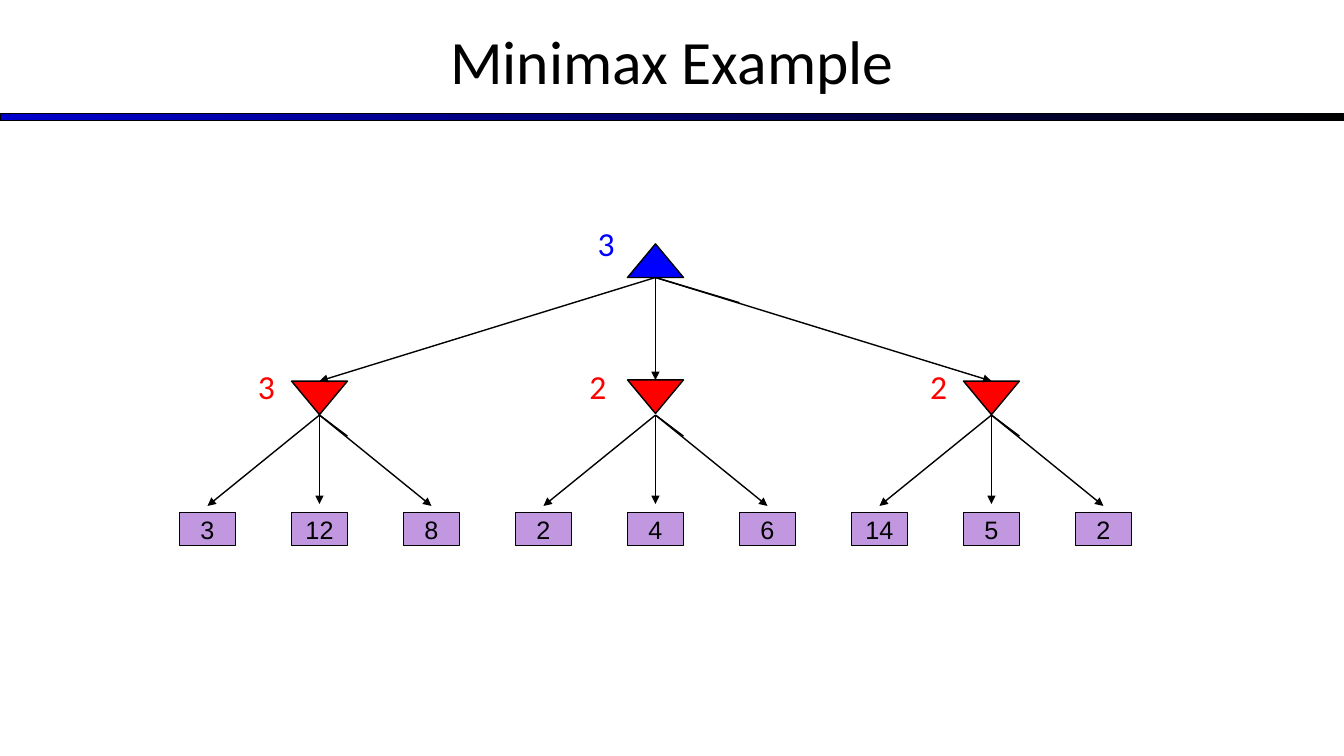
from lxml import etree
from pptx import Presentation
from pptx.dml.color import RGBColor
from pptx.enum import shapes, text
from pptx.oxml.ns import qn
from pptx.util import Pt

TITLE = "Minimax Example"
ROOT_VALUE = "3"
# value, top of triangle, left of value label, values of the leaves
MIN_NODES = [
    ("3", 272.2, 177.1, ["3", "12", "8"]),
    ("2", 271.4, 414, ["2", "4", "6"]),
    ("2", 272.2, 657.4, ["14", "5", "2"]),
]

COLORS = {
    "black": "000000",
    "rule": "0000CC",
    "max": "0000FF",
    "min": "FF0000",
    "leaf": "C198E0",
}

SLIDE_W, SLIDE_H = 960, 540
NODE_W, NODE_H = 40, 24
FIRST_LEAF_X, LEAF_PITCH = 148.2, 80
ROOT_X, ROOT_TOP = FIRST_LEAF_X + 4 * LEAF_PITCH, 174.2
ROOT_BASE = ROOT_TOP + NODE_H
MIN_TIP = 296.5
LEAF_TOP = 365.8
LABEL_W, LABEL_H, MIN_LABEL_TOP = 26.6, 36, 257.8
STUB_H = 24


def rgb(name):
    return RGBColor.from_string(COLORS[name])


def write(tf, value, size, font, color, align):
    p = tf.paragraphs[0]
    p.alignment = align
    r = p.add_run()
    r.text = value
    r.font.size = Pt(size)
    r.font.name = font
    r.font.color.rgb = rgb(color)


def add_block(slide, kind, left, top, width, height, fill, line_width):
    s = slide.shapes.add_shape(kind, Pt(left), Pt(top), Pt(width), Pt(height))
    s.shadow.inherit = False
    if fill:
        s.fill.solid()
        s.fill.fore_color.rgb = rgb(fill)
    s.line.color.rgb = rgb("black")
    s.line.width = Pt(line_width)
    return s


def add_triangle(slide, center, top, fill, flipped=False):
    s = add_block(slide, shapes.MSO_SHAPE.ISOSCELES_TRIANGLE,
                  center - NODE_W / 2, top, NODE_W, NODE_H, fill, 1)
    if flipped:
        s.element.spPr.find(qn("a:xfrm")).set("flipV", "1")


def add_leaf(slide, center, value):
    s = add_block(slide, shapes.MSO_SHAPE.RECTANGLE,
                  center - NODE_W / 2, LEAF_TOP, NODE_W, NODE_H, "leaf", 0.75)
    tf = s.text_frame
    tf.word_wrap = False
    tf.vertical_anchor = text.MSO_ANCHOR.MIDDLE
    write(tf, value, 18, "Arial", "black", text.PP_ALIGN.CENTER)


def add_label(slide, left, top, value, color):
    s = slide.shapes.add_textbox(Pt(left), Pt(top), Pt(LABEL_W), Pt(LABEL_H))
    tf = s.text_frame
    tf.word_wrap = False
    tf.auto_size = text.MSO_AUTO_SIZE.SHAPE_TO_FIT_TEXT
    write(tf, value, 24, "Calibri", color, text.PP_ALIGN.LEFT)


def add_line(slide, x1, y1, x2, y2, arrow=True):
    c = slide.shapes.add_connector(shapes.MSO_CONNECTOR.STRAIGHT,
                                   Pt(x1), Pt(y1), Pt(x2), Pt(y2))
    c.line.color.rgb = rgb("black")
    c.line.width = Pt(1)
    sp_pr = c.element.spPr
    if arrow:
        etree.SubElement(sp_pr.find(qn("a:ln")), qn("a:tailEnd"), type="triangle")
    etree.SubElement(sp_pr, qn("a:effectLst"))


def add_stubs(slide, x, y, dx, dy):
    """Draw the short strokes under a node: one down, one to the right."""
    add_line(slide, x, y, x, y + STUB_H, arrow=False)
    add_line(slide, x, y, x + dx, y + dy, arrow=False)


def add_heading(slide):
    rule = add_block(slide, shapes.MSO_SHAPE.RECTANGLE,
                     0, 81.4, SLIDE_W, 5, None, 0.75)
    rule.fill.gradient()
    rule.fill.gradient_angle = 0
    for stop, color, position in zip(rule.fill.gradient_stops,
                                     ("rule", "black"), (0, 1)):
        stop.color.rgb = rgb(color)
        stop.position = position

    title = slide.shapes.title
    title.left, title.top = Pt(0), Pt(-2)
    title.width, title.height = Pt(SLIDE_W), Pt(90)
    tf = title.text_frame
    tf.auto_size = text.MSO_AUTO_SIZE.NONE
    tf.vertical_anchor = text.MSO_ANCHOR.MIDDLE
    write(tf, TITLE, 44, "Calibri", "black", text.PP_ALIGN.CENTER)


def add_tree(slide):
    add_triangle(slide, ROOT_X, ROOT_TOP, "max")
    add_label(slide, 419.8, 155.5, ROOT_VALUE, "max")
    add_stubs(slide, ROOT_X, ROOT_BASE, 60, 18)

    for i, (value, top, label_left, leaves) in enumerate(MIN_NODES):
        x = FIRST_LEAF_X + (3 * i + 1) * LEAF_PITCH
        add_triangle(slide, x, top, "min", flipped=True)
        add_line(slide, ROOT_X, ROOT_BASE, x, top)
        add_label(slide, label_left, MIN_LABEL_TOP, value, "min")
        add_stubs(slide, x, MIN_TIP, 20, 15)
        for j, leaf in enumerate(leaves):
            leaf_x = x + (j - 1) * LEAF_PITCH
            add_line(slide, x, MIN_TIP, leaf_x, 360 if j == 1 else 361.4)
            add_leaf(slide, leaf_x, leaf)


def main():
    prs = Presentation()
    prs.slide_width, prs.slide_height = Pt(SLIDE_W), Pt(SLIDE_H)
    slide = prs.slides.add_slide(prs.slide_layouts[5])
    add_heading(slide)
    add_tree(slide)
    prs.save("out.pptx")


if __name__ == "__main__":
    main()
